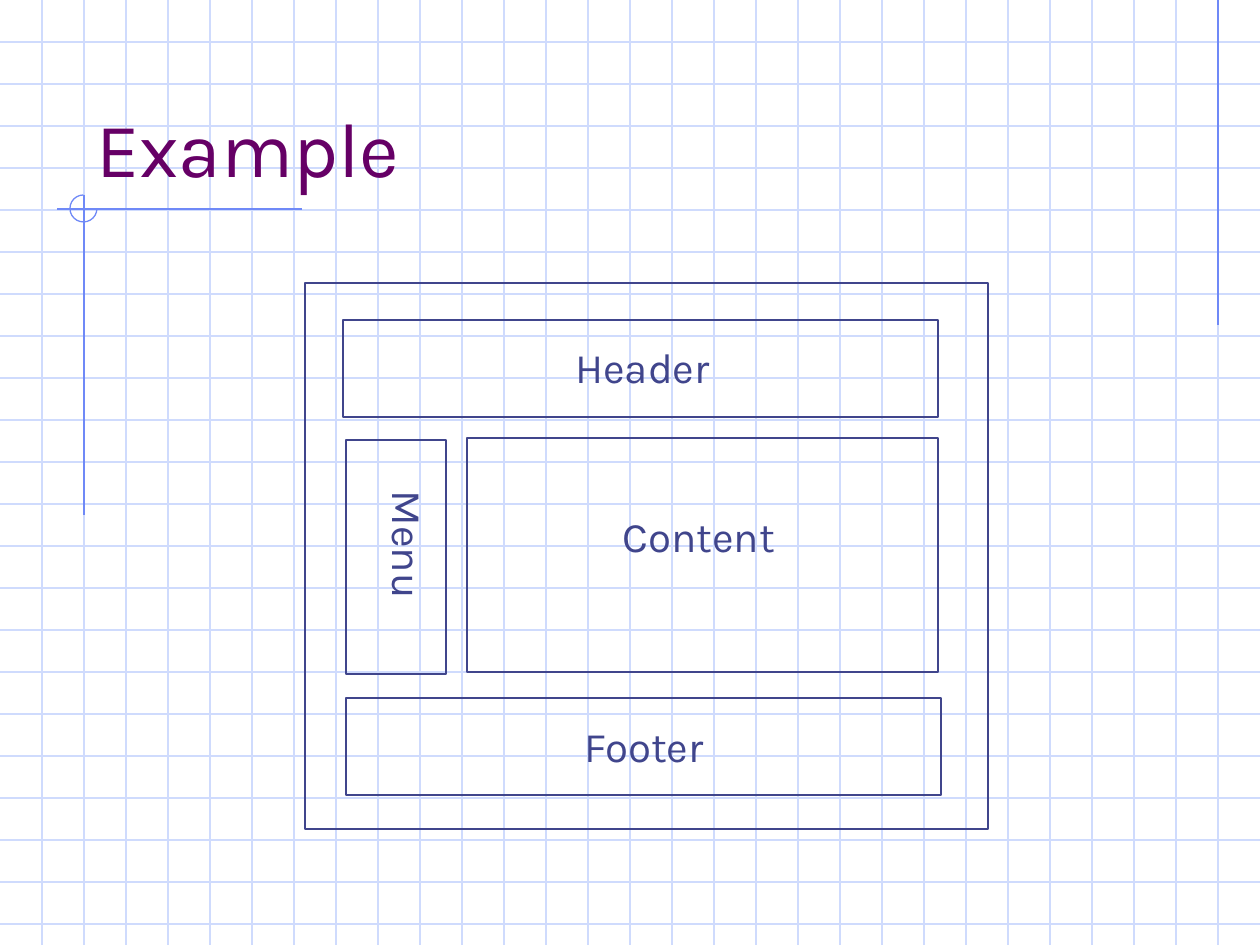
import pptx
import pptx.util
import pptx.dml.color
import pptx.enum.shapes
import pptx.enum.text
import pptx.oxml.ns
import lxml.etree

WIDTH, HEIGHT, GRID_STEP = 1260, 945, 42
SCALE = 914400 / 126
FONT = "Karla"
GRID_COLOR, ACCENT_COLOR = "CFDBFD", "6F89F7"
TITLE_COLOR, INK_COLOR = "660066", "40458C"

ACCENT_LINES = [
    (1218, 0, 1218, 325),
    (302, 209, 57, 209),
    (84, 195, 84, 515),
]
ACCENT_ARC = (70, 195, 27, 27)
FRAMES = [
    (305, 283, 683, 546),
    (343, 320, 595, 97),
    (346, 698, 595, 97),
    (346, 440, 100, 234),
    (467, 438, 471, 234),
]
TITLE = ("Example", (84, 42, 1071, 157))
LABELS = [
    ("Header", (563, 335, 170, 63), False),
    ("Menu", (365, 478, 76, 127), True),
    ("Content", (610, 504, 183, 63), False),
    ("Footer", (572, 714, 154, 63), False),
]


def px(*values):
    return [pptx.util.Emu(round(value * SCALE)) for value in values]


def color(value):
    return pptx.dml.color.RGBColor.from_string(value)


def set_line(shape, value):
    shape.line.color.rgb = color(value)
    shape.line.width = pptx.util.Pt(0.75)


def add_line(slide, ends, value):
    straight = pptx.enum.shapes.MSO_CONNECTOR.STRAIGHT
    connector = slide.shapes.add_connector(straight, *px(*ends))
    set_line(connector, value)
    properties = connector.element.spPr
    lxml.etree.SubElement(properties, pptx.oxml.ns.qn("a:effectLst"))


def add_outline(slide, kind, box, value):
    shape = slide.shapes.add_shape(kind, *px(*box))
    shape.shadow.inherit = False
    shape.fill.background()
    set_line(shape, value)
    return shape


def add_text(slide, text, box, size, value):
    frame = slide.shapes.add_textbox(*px(*box)).text_frame
    paragraph = frame.paragraphs[0]
    paragraph.text = text
    paragraph.font.name = FONT
    paragraph.font.size = pptx.util.Pt(size)
    paragraph.font.color.rgb = color(value)
    return frame


def add_label(slide, text, box, vertical):
    frame = add_text(slide, text, box, 24, INK_COLOR)
    frame.word_wrap = False
    frame.auto_size = pptx.enum.text.MSO_AUTO_SIZE.SHAPE_TO_FIT_TEXT
    if vertical:
        frame.margin_left = frame.margin_right = pptx.util.Inches(0.05)
        frame.margin_top = frame.margin_bottom = pptx.util.Inches(0.1)
        body = frame.paragraphs[0]._p.getparent().bodyPr
        body.set("vert", "eaVert")


def main():
    presentation = pptx.Presentation()
    presentation.slide_width, presentation.slide_height = px(WIDTH, HEIGHT)
    slide = presentation.slides.add_slide(presentation.slide_layouts[6])
    shapes = pptx.enum.shapes.MSO_SHAPE

    for y in range(GRID_STEP, HEIGHT, GRID_STEP):
        add_line(slide, (0, y, WIDTH, y), GRID_COLOR)
    for x in range(GRID_STEP, WIDTH, GRID_STEP):
        add_line(slide, (x, 0, x, HEIGHT), GRID_COLOR)

    for ends in ACCENT_LINES:
        add_line(slide, ends, ACCENT_COLOR)
    arc = add_outline(slide, shapes.ARC, ACCENT_ARC, ACCENT_COLOR)
    arc.adjustments[0] = 0
    arc.adjustments[1] = 162

    title_text, title_box = TITLE
    title = add_text(slide, title_text, title_box, 44, TITLE_COLOR)
    title.word_wrap = True
    title.vertical_anchor = pptx.enum.text.MSO_ANCHOR.BOTTOM

    for box in FRAMES:
        add_outline(slide, shapes.RECTANGLE, box, INK_COLOR)
    for label in LABELS:
        add_label(slide, *label)

    presentation.save("out.pptx")


if __name__ == "__main__":
    main()
